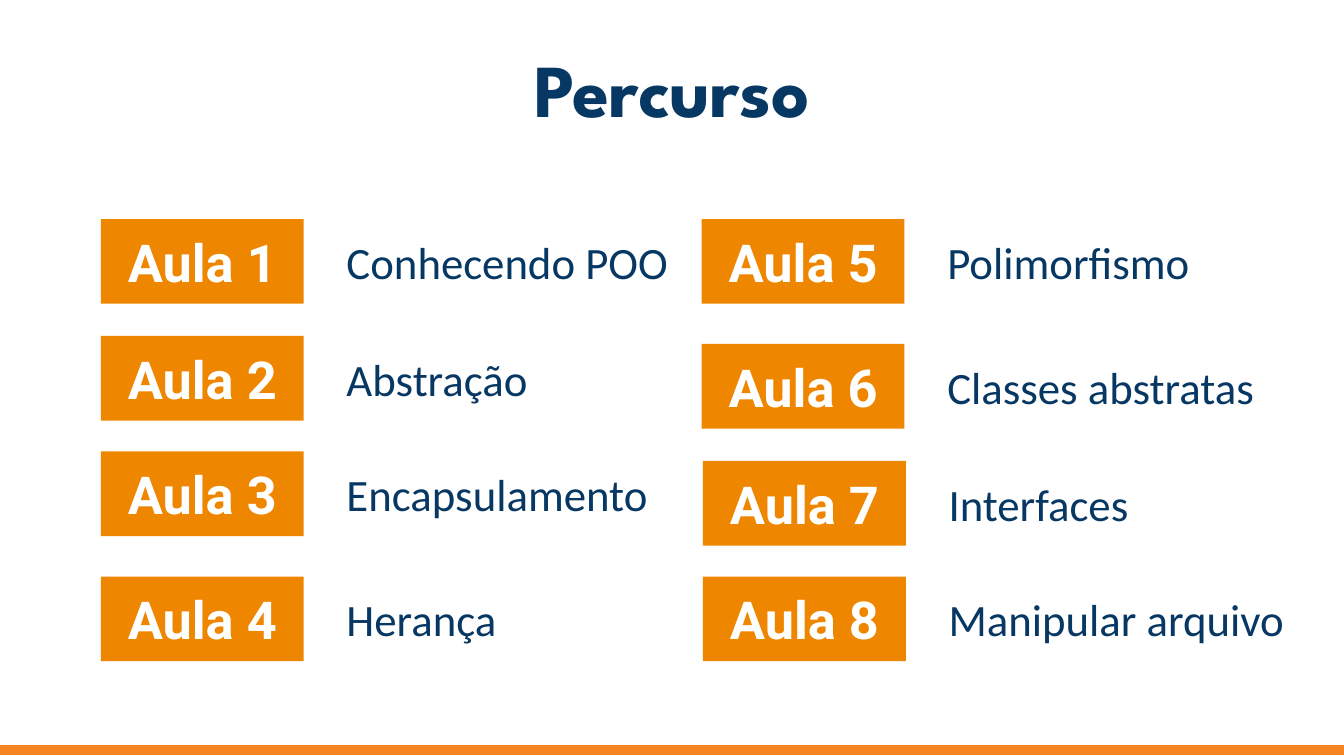
from pptx import Presentation
from pptx.dml.color import RGBColor
from pptx.enum.shapes import MSO_SHAPE
from pptx.enum.text import MSO_ANCHOR, MSO_AUTO_SIZE, PP_ALIGN
from pptx.util import Inches, Pt

RECT = MSO_SHAPE.RECTANGLE
MIDDLE, TOP = MSO_ANCHOR.MIDDLE, MSO_ANCHOR.TOP
CENTER, LEFT = PP_ALIGN.CENTER, PP_ALIGN.LEFT

# Content: each column is a list of (left, top, topic)
TITLE = "Percurso"
COLUMNS = [
    [(0.75, 1.63, "Conhecendo POO"), (0.75, 2.5, "Abstração"),
     (0.75, 3.36, "Encapsulamento"), (0.75, 4.29, "Herança")],
    [(5.22, 1.63, "Polimorfismo"), (5.22, 2.56, "Classes abstratas"),
     (5.23, 3.43, "Interfaces"), (5.23, 4.29, "Manipular arquivo")],
]
COLORS = {"navy": "073763", "orange": "EF8600", "bar": "F78321", "white": "FFFFFF"}

# Layout in inches, on a 16:9 slide
WIDTH = 10
HEIGHT = WIDTH * 9 / 16
TAG_W, TAG_H = 1.51, 0.63
TOPIC_W, TOPIC_H = 2.74, 0.5
TOPIC_DX = 1.73
TOPIC_DY = (TAG_H - TOPIC_H) / 2
BAR_TOP, BAR_H = 5.55, 0.06


def color(name):
    return RGBColor.from_string(COLORS[name])


def box(left, top, width, height):
    return [Inches(v) for v in (left, top, width, height)]


def write(shape, text, font, size, tint, bold=False,
          align=CENTER, anchor=MIDDLE, pad=0.1):
    frame = shape.text_frame
    frame.text = text
    frame.word_wrap = True
    frame.auto_size = MSO_AUTO_SIZE.NONE
    frame.vertical_anchor = anchor
    frame.margin_left = frame.margin_right = Inches(0.1)
    frame.margin_top = frame.margin_bottom = Inches(pad)
    para = frame.paragraphs[0]
    para.alignment = align
    para.font.name, para.font.size, para.font.bold = font, Pt(size), bold
    para.font.color.rgb = color(tint)


def block(shapes, area, fill):
    shape = shapes.add_shape(RECT, *area)
    shape.shadow.inherit = False
    shape.fill.solid()
    shape.fill.fore_color.rgb = color(fill)
    shape.line.fill.background()
    return shape


def main():
    deck = Presentation()
    deck.slide_width, deck.slide_height = Inches(WIDTH), Inches(HEIGHT)
    slide = deck.slides.add_slide(deck.slide_layouts[5])
    shapes = slide.shapes

    # Title
    title = shapes.title
    title.left, title.top, title.width, title.height = box(0.34, 0.33, 9.32, 0.65)
    write(title, TITLE, "League Spartan", 40, "navy", bold=True)

    # Bottom bar
    bar = block(shapes, box(0, BAR_TOP, WIDTH, BAR_H), "bar")
    bar.line.color.rgb = color("bar")
    bar.line.width = Pt(0.75)

    # Lesson tags with their topics
    lessons = [item for column in COLUMNS for item in column]
    for number, (left, top, topic) in enumerate(lessons, 1):
        tag = block(shapes, box(left, top, TAG_W, TAG_H), "orange")
        write(tag, f"Aula {number}", "Roboto", 28, "white", bold=True)
        label = shapes.add_textbox(
            *box(left + TOPIC_DX, top + TOPIC_DY, TOPIC_W, TOPIC_H))
        write(label, topic, "Calibri", 24, "navy",
              align=LEFT, anchor=TOP, pad=0.05)

    deck.save("out.pptx")


if __name__ == "__main__":
    main()
